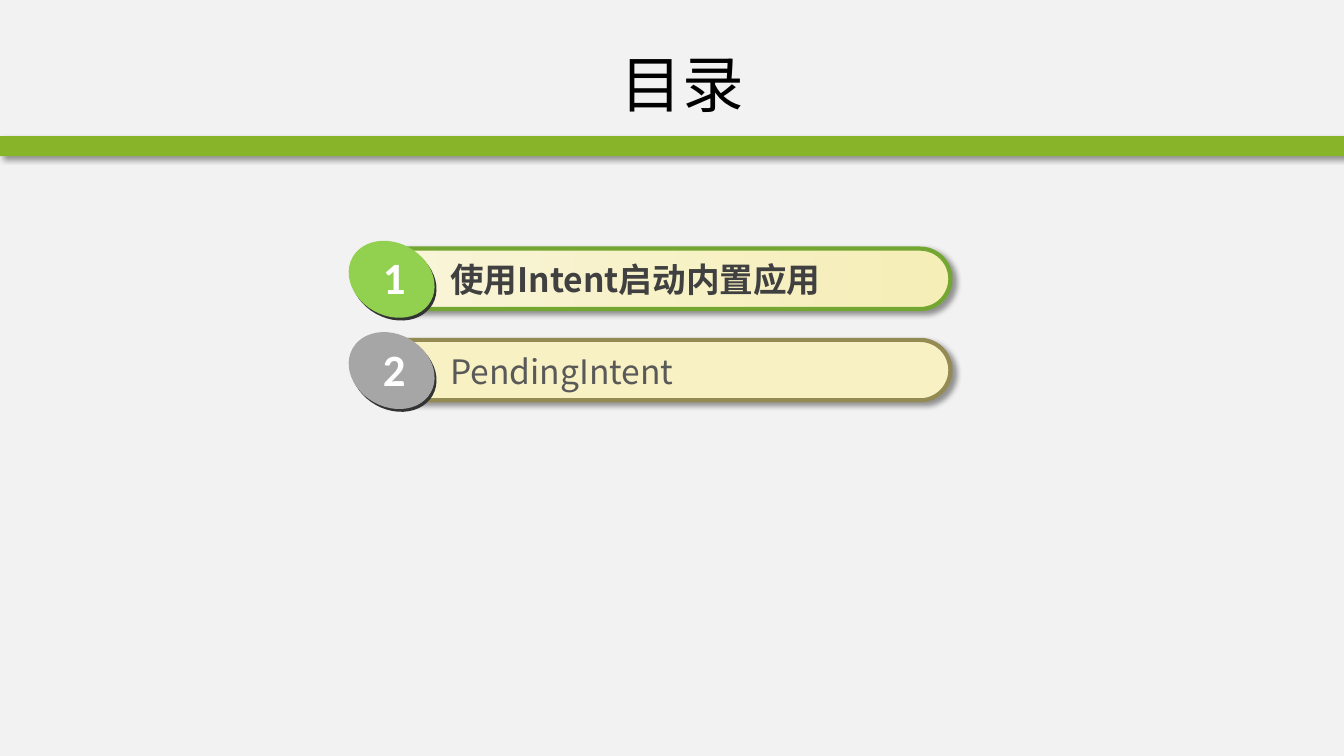
"""Builds the table of contents slide with numbered pill-shaped entries."""
from dataclasses import dataclass

from lxml.etree import SubElement
from pptx import Presentation
from pptx.dml.color import RGBColor
from pptx.enum.shapes import MSO_SHAPE as Preset
from pptx.enum.text import MSO_ANCHOR as Anchor, MSO_AUTO_SIZE as AutoSize, PP_ALIGN as Align
from pptx.oxml.ns import qn
from pptx.util import Pt


@dataclass(frozen=True)
class Theme:
    background: str = "F2F2F2"
    band: str = "88B429"
    shade: str = "000000"
    badge_edge: str = "333333"
    badge_text: str = "FFFFFF"
    title_text: str = "000000"
    body_font: str = "Noto Sans CJK SC"
    badge_font: str = "Calibri"
    title_size: int = 44
    badge_size: int = 32
    entry_size: int = 24


THEME = Theme()
FIRST_TOP, ENTRY_PITCH = 177.6, 65.2
ENTRIES = [
    dict(label="使用Intent启动内置应用", fills=("F9F5D9", "F5EEB7"), border="74A731",
         badge="92D050", ink="404040", bold=True),
    dict(label="PendingIntent", fills=("F7F1C4",), border="948A54",
         badge="A6A6A6", ink="595959", bold=False),
]


def rgb(value):
    return RGBColor.from_string(value)


def apply(target, values):
    for name, value in values.items():
        setattr(target, name, value)


def paint(fill, colors):
    if len(colors) == 1:
        fill.solid()
        fill.fore_color.rgb = rgb(colors[0])
        return
    fill.gradient()
    fill.gradient_angle = 0
    for stop, color in zip(fill.gradient_stops, colors):
        stop.color.rgb = rgb(color)


def add_figure(shapes, preset, box, colors, border=None, rotation=0):
    figure = shapes.add_shape(preset, *map(Pt, box))
    figure.shadow.inherit = False
    figure.rotation = rotation
    paint(figure.fill, colors)
    if border:
        figure.line.color.rgb = rgb(border)
        figure.line.width = Pt(3)
    else:
        figure.line.fill.background()
    return figure


def cast_shadow(figure):
    effects = figure._element.spPr.find(qn("a:effectLst"))
    shadow = SubElement(effects, qn("a:outerShdw"), blurRad=str(Pt(4)), dist=str(Pt(3)),
                        dir="2700000", algn="tl", rotWithShape="0")
    color = SubElement(shadow, qn("a:srgbClr"), val=THEME.shade)
    SubElement(color, qn("a:alpha"), val="40000")


def add_text(shapes, box, text, font, size, color, bold=False, align=Align.LEFT, **frame_format):
    frame = shapes.add_textbox(*map(Pt, box)).text_frame
    apply(frame, {"word_wrap": True, "auto_size": AutoSize.SHAPE_TO_FIT_TEXT, **frame_format})
    paragraph = frame.paragraphs[0]
    paragraph.alignment = align
    run = paragraph.add_run()
    run.text = text
    apply(run.font, {"name": font, "size": Pt(size), "bold": bold})
    run.font.color.rgb = rgb(color)
    SubElement(run.font._element, qn("a:ea"), typeface=font)


def add_entry(slide, number, top, label, fills, border, badge, ink, bold):
    shapes = slide.shapes.add_group_shape().shapes
    pill = add_figure(shapes, Preset.ROUNDED_RECTANGLE, (263.5, top, 415.4, 43.2), fills, border)
    pill.adjustments[0] = 0.5
    cast_shadow(pill)
    add_text(shapes, (314.6, top + 4, 330.5, 36.7), label,
             THEME.body_font, THEME.entry_size, ink, bold)
    for left, rise, color in ((249.1, 2, THEME.badge_edge), (247.7, 4, badge)):
        add_figure(shapes, Preset.OVAL, (left, top - rise, 64.1, 51.8), (color,), rotation=29.3)
    add_text(shapes, (266.4, top - 2.5, 31, 46.1), str(number), THEME.badge_font,
             THEME.badge_size, THEME.badge_text, True, word_wrap=False)


def main():
    deck = Presentation()
    apply(deck, {"slide_width": Pt(960), "slide_height": Pt(540)})
    slide = deck.slides.add_slide(deck.slide_layouts[6])
    paint(slide.background.fill, (THEME.background,))
    cast_shadow(add_figure(slide.shapes, Preset.RECTANGLE, (0, 97.2, 960, 14.4), (THEME.band,)))
    add_text(slide.shapes, (100.1, 21.6, 774.7, 75.6), "目录", THEME.body_font, THEME.title_size,
             THEME.title_text, align=Align.CENTER, vertical_anchor=Anchor.MIDDLE,
             auto_size=AutoSize.NONE)
    for index, entry in enumerate(ENTRIES):
        add_entry(slide, index + 1, FIRST_TOP + index * ENTRY_PITCH, **entry)
    deck.save("out.pptx")


if __name__ == "__main__":
    main()
